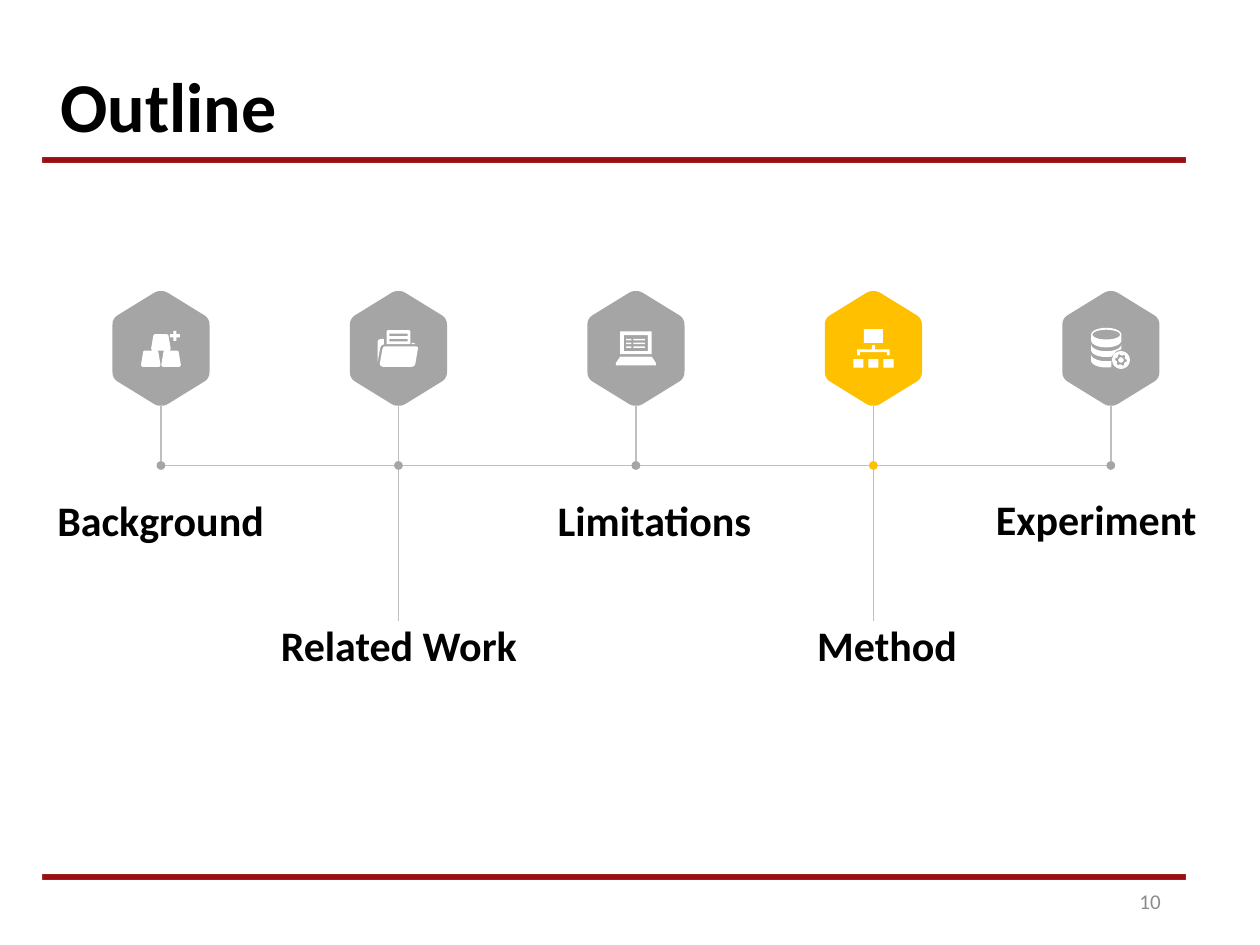
import math

import pptx
import pptx.dml.color
import pptx.enum.shapes
import pptx.enum.text
import pptx.oxml
import pptx.util

Pt = pptx.util.Pt
RGB = pptx.dml.color.RGBColor
Align = pptx.enum.text.PP_ALIGN
Anchor = pptx.enum.text.MSO_ANCHOR
Shape = pptx.enum.shapes.MSO_SHAPE

RED = RGB(0x9C, 0x0C, 0x13)
EDGE = RGB(0x9C, 0x22, 0x20)
GRAY = RGB(0xA5, 0xA5, 0xA5)
GOLD = RGB(0xFF, 0xC0, 0x00)
RULE = RGB(0xBF, 0xBF, 0xBF)
PALE = RGB(0x8C, 0x8C, 0x8C)
BLACK = RGB(0, 0, 0)
WHITE = RGB(0xFF, 0xFF, 0xFF)

FIRST, STEP = 92, 135.7
HEX_Y, HEX_END, AXIS = 199.1, 231.9, 266
DOT = 5


# Outlines are lists of (x, y) points around the middle of a hexagon.
def box(left, top, right, low):
    return [(left, top), (right, top), (right, low), (left, low)]


def arc(x, y, wide, high, start, end):
    """Points on an ellipse between two angles, clockwise from the right."""
    count = 24
    turns = [math.radians(start + (end - start) * k / count)
             for k in range(count + 1)]
    return [(x + wide * math.cos(t), y + high * math.sin(t)) for t in turns]


def mirror(half):
    """Close a right-hand half with its reflection on the left."""
    return half + [(-x, y) for x, y in reversed(half)]


def shift(points, right, down):
    return [(x + right, y + down) for x, y in points]


def hexagon():
    corner = [(1.5, 32.7), (2.9, 32.3), (4.2, 31.6), (25, 18.8),
              (26.2, 17.8), (27, 16.6), (27.6, 15.2), (27.8, 12.6)]
    return [mirror([(x, -y) for x, y in corner] + corner[::-1])]


def bricks():
    brick = mirror([(3.6, -4.6), (4.3, -4), (5.6, 3.6), (5.2, 4.5),
                    (4.6, 4.7)])
    arm, half = 2.9, 0.9
    plus = mirror([(half, -arm), (half, -half), (arm, -half), (arm, half),
                   (half, half), (half, arm)])
    spots = [(-5.8, 5.8), (5.8, 5.8), (0, -3.5)]
    return [shift(brick, *spot) for spot in spots] + [shift(plus, 8, -7.2)]


def folder():
    front = [(-8, -1.1), (10.4, -1.1), (11.2, -0.4), (9.6, 9), (8.8, 10.2),
             (7.6, 10.5), (-9, 10.5), (-10.3, 9.9), (-10.7, 8.8),
             (-9.1, 0.2), (-8.6, -0.7)]
    back = [(-10.4, -0.4), (-9.7, -1.7), (-8.3, -2.4), (-8.3, -5.4),
            (-9.8, -5.4), (-11.4, -5), (-11.9, -3.9), (-11.9, 7.6)]
    tab = [(7.6, -3.2), (8.3, -3.2), (9.4, -2.8), (9.7, -2.4), (7.6, -2.4)]
    sheet = [(-6.8, -2.4), (-6.8, -9.8), (-6.2, -10.4), (6.2, -10.4),
             (6.8, -9.8), (6.8, -2.4)]
    lines = [box(-5.2, y, 5.2, y + 1.4) for y in (-8.4, -5.4)]
    return [front, back, tab, sheet] + lines


def laptop():
    base = mirror([(9, 4.7), (11.4, 8.3), (11.4, 9.7)])
    rows = [box(left, y, right, y + 0.9) for y in (-5.4, -3.3, -1.2)
            for left, right in ((-5.6, -2.6), (-1.4, 5.2))]
    return [base, box(-9, -9.7, 9, 3.3), box(-6.9, -7.6, 6.9, 1.6)] + rows


def tree():
    fork = mirror([(0.8, -1.8), (0.8, 0.6), (9.3, 0.6), (9.3, 4),
                   (7.7, 4), (7.7, 2.1)])
    leaves = [box(x - 2.9, 6.2, x + 2.9, 11) for x in (-8.6, 0, 8.6)]
    return [box(-5.4, -11, 5.4, -3.2), fork] + leaves


def store():
    """A stack of three discs with a gear at its lower right."""
    def rim(y, start, end):
        return arc(-2.6, y, 8.6, 3.9, start, end)

    disc = rim(-7.9, 180, 360) + rim(-4.5, 0, 180)
    lid = arc(-2.6, -7.9, 7.9, 2.8, 0, 360)
    band = (rim(-2.3, 180, 0) + [(6, 0.5), (3, 1.6), (0.3, 4.8)]
            + rim(1, 70, 180))
    foot = rim(3.4, 180, 70) + rim(7, 70, 180)
    x, y = 5.8, 6.6
    teeth = []
    for k in range(24):
        reach = 3.4 if k % 4 < 2 else 2.6
        turn = math.radians(15 * k)
        teeth.append((x + reach * math.cos(turn), y + reach * math.sin(turn)))
    return [disc, lid, band, foot, arc(x, y, 5.1, 5.1, 0, 360), teeth,
            arc(x, y, 1.5, 1.5, 0, 360)]


class Page:
    def __init__(self, slide, font):
        self.shapes = slide.shapes
        self.font = font

    def paint(self, shape, fill, edge=None):
        shape.shadow.inherit = False
        shape.fill.solid()
        shape.fill.fore_color.rgb = fill
        if edge is None:
            shape.line.fill.background()
        else:
            shape.line.color.rgb = edge
            shape.line.width = Pt(1)

    def solid(self, kind, left, top, width, height, fill, edge=None):
        shape = self.shapes.add_shape(kind, Pt(left), Pt(top), Pt(width),
                                      Pt(height))
        self.paint(shape, fill, edge)

    def draw(self, rings, x, y, fill):
        """Fill closed outlines placed around the point x, y."""
        spots = [[(Pt(x + a), Pt(y + b)) for a, b in ring] for ring in rings]
        pen = self.shapes.build_freeform(*spots[0][0], scale=1.0)
        pen.add_line_segments(spots[0][1:], close=True)
        for ring in spots[1:]:
            pen.move_to(*ring[0])
            pen.add_line_segments(ring[1:], close=True)
        self.paint(pen.convert_to_shape(), fill)

    def line(self, x1, y1, x2, y2):
        line = self.shapes.add_connector(
            pptx.enum.shapes.MSO_CONNECTOR.STRAIGHT,
            Pt(x1), Pt(y1), Pt(x2), Pt(y2))
        line.line.color.rgb = RULE
        line.line.width = Pt(1)
        line._element.spPr.append(pptx.oxml.parse_xml(
            '<a:effectLst xmlns:a="http://schemas.openxmlformats.org/'
            'drawingml/2006/main"/>'))

    def text(self, words, left, top, width, height, size=24, color=BLACK,
             bold=True, align=Align.CENTER, anchor=Anchor.MIDDLE, inset=7.2):
        frame = self.shapes.add_textbox(Pt(left), Pt(top), Pt(width),
                                        Pt(height)).text_frame
        frame.word_wrap = True
        frame.vertical_anchor = anchor
        frame.margin_left = Pt(inset)
        frame.text = words
        para = frame.paragraphs[0]
        para.alignment = align
        font = para.runs[0].font
        font.name, font.size, font.bold = self.font, Pt(size), bold
        font.color.rgb = color


def main():
    deck = pptx.Presentation()
    deck.slide_width, deck.slide_height = Pt(720), Pt(540)
    page = Page(deck.slides.add_slide(deck.slide_layouts[6]), "Calibri")

    for top in (90, 499.7):
        page.solid(Shape.RECTANGLE, 24.5, top, 653, 2.9, RED, EDGE)
    page.text("Outline", 23.8, 32, 232.6, 55.4, 40, align=Align.LEFT,
              anchor=Anchor.TOP, inset=10.8)
    page.text("10", 508.3, 500.4, 162, 28.8, 12, PALE, False, Align.RIGHT)

    # name, icon, colour, end of stem, text left, top, width, height
    low, deep = AXIS - DOT / 2, 355
    steps = [
        ("Background", bricks, GRAY, low, 24.5, 281.5, 134.6, 31),
        ("Related Work", folder, GRAY, deep, 143.3, 347.8, 169.2, 41),
        ("Limitations", laptop, GRAY, low, 292.3, 284.4, 163.4, 25.2),
        ("Method", tree, GOLD, deep, 439.2, 350.6, 135.4, 36),
        ("Experiment", store, GRAY, low, 558.7, 280.1, 135.4, 33.1),
    ]
    page.line(FIRST - 2, AXIS, FIRST + 4 * STEP + 2, AXIS)
    for place, (name, icon, color, end, *area) in enumerate(steps):
        x = FIRST + place * STEP
        page.draw(hexagon(), x, HEX_Y, color)
        page.draw(icon(), x, HEX_Y, WHITE)
        page.line(x, HEX_END, x, end)
        page.solid(Shape.OVAL, x - DOT / 2, AXIS - DOT / 2, DOT, DOT, color)
        page.text(name, *area)
    deck.save("out.pptx")


if __name__ == "__main__":
    main()
